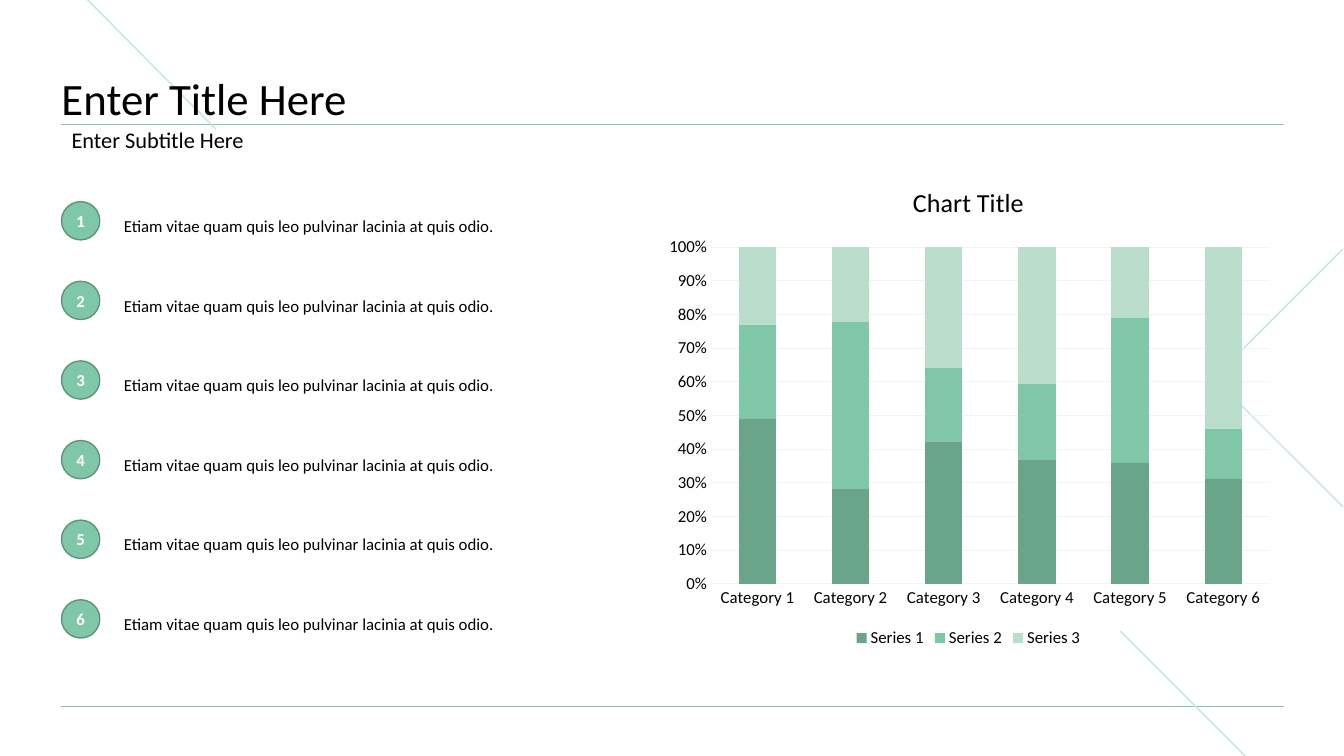
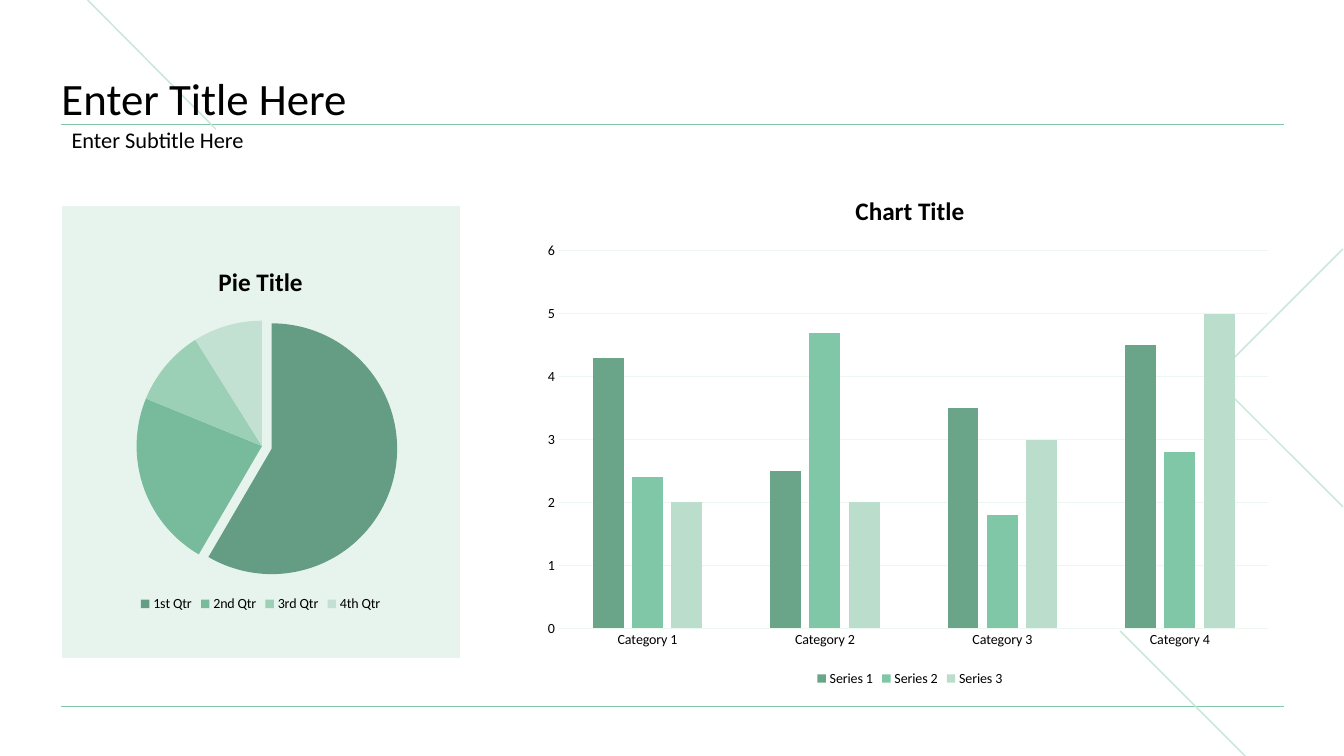
from dataclasses import dataclass

from lxml import etree
from pptx import Presentation
from pptx.chart.data import CategoryChartData
from pptx.dml.color import RGBColor
from pptx.enum.chart import XL_CHART_TYPE, XL_LEGEND_POSITION, XL_TICK_MARK
from pptx.enum.shapes import MSO_CONNECTOR, MSO_SHAPE
from pptx.enum.text import MSO_ANCHOR, PP_ALIGN
from pptx.oxml import parse_xml
from pptx.oxml.ns import nsdecls, qn
from pptx.util import Inches, Pt

STACKED = XL_CHART_TYPE.COLUMN_STACKED_100
CLUSTERED = XL_CHART_TYPE.COLUMN_CLUSTERED
PIE = XL_CHART_TYPE.PIE
BOTTOM_LEGEND = XL_LEGEND_POSITION.BOTTOM
NO_TICK = XL_TICK_MARK.NONE
STRAIGHT = MSO_CONNECTOR.STRAIGHT
OVAL = MSO_SHAPE.OVAL
RECT = MSO_SHAPE.RECTANGLE
LEFT = PP_ALIGN.LEFT
CENTER = PP_ALIGN.CENTER
MIDDLE = MSO_ANCHOR.MIDDLE
BOTTOM = MSO_ANCHOR.BOTTOM


@dataclass(frozen=True)
class Theme:
    font: str = "Calibri"
    text: str = "000000"
    white: str = "FFFFFF"
    green: str = "80C7A7"
    badge_line: str = "5F937C"
    accent: str = "C6E6D7"
    grid: str = "ECF7F2"
    panel: str = "E6F4ED"
    series: tuple[str, ...] = ("6AA58A", "80C7A7", "BADDCC")
    slices: tuple[str, ...] = ("659D84", "78BA9C", "9BD0B7", "C3E1D2")
    title: float = 32
    subtitle: float = 16
    body: float = 12
    small: float = 10
    chart_title: float = 18


@dataclass(frozen=True)
class Box:
    x: float
    y: float
    w: float
    h: float

    def emu(self) -> tuple[int, ...]:
        return tuple(Inches(v) for v in (self.x, self.y, self.w, self.h))


@dataclass(frozen=True)
class Rule:
    x1: float
    y1: float
    x2: float
    y2: float
    color: str
    width: float


@dataclass(frozen=True)
class ChartSpec:
    kind: int
    box: Box
    plot: Box
    title: str
    title_size: float
    title_bold: bool
    size: float
    cats: tuple[str, ...]
    series: tuple[tuple[float, ...], ...]
    gap: int = 0
    overlap: int = 0
    axis_line: bool = False
    top: float | None = None


T = Theme()
MARGIN, WIDTH = 0.61, 12.12
RIGHT = MARGIN + WIDTH
TITLE_BOX = Box(MARGIN, 0.44, WIDTH, 0.8)
SUBTITLE_BOX = Box(MARGIN, 1.23, WIDTH, 0.34)
RULES = (
    Rule(MARGIN, 7.01, RIGHT, 7.01, T.green, 0.5),
    Rule(MARGIN, 1.23, RIGHT, 1.23, T.green, 0.5),
    Rule(11.11, 6.26, 12.35, 7.5, T.accent, 1),
    Rule(0.87, 0, 2.14, 1.28, T.accent, 1),
)
CHEVRON = ((13.32, 2.47), (12.04, 3.75), (13.32, 5.03))
ITEMS = ("Etiam vitae quam quis leo pulvinar lacinia at quis odio.",) * 6
ITEM_PITCH = 0.79

SHARE_CHART = ChartSpec(
    STACKED, Box(6.49, 1.63, 6.23, 4.84), Box(0.09, 0.17, 0.89, 0.69),
    "Chart Title", 18.6, False, T.body,
    tuple(f"Category {n}" for n in range(1, 7)),
    ((49, 28, 42, 37, 36, 31), (28, 49, 22, 23, 43, 15), (23, 22, 36, 41, 21, 54)),
    gap=150, overlap=100,
)
COLUMN_CHART = ChartSpec(
    CLUSTERED, Box(5.32, 1.72, 7.41, 5.13), Box(0.03, 0.15, 0.95, 0.73),
    "Chart Title", T.chart_title, True, T.small,
    tuple(f"Category {n}" for n in range(1, 5)),
    ((4.3, 2.5, 3.5, 4.5), (2.4, 4.7, 1.8, 2.8), (2, 2, 3, 5)),
    gap=219, overlap=-27, axis_line=True, top=6,
)
PIE_CHART = ChartSpec(
    PIE, Box(1.15, 2.45, 2.87, 3.66), Box(0.07, 0.2, 0.87, 0.68),
    "Pie Title", T.chart_title, True, T.small,
    ("1st Qtr", "2nd Qtr", "3rd Qtr", "4th Qtr"), ((59, 23, 10, 9),),
)


def rgb(color: str) -> RGBColor:
    return RGBColor.from_string(color)


def set_font(font, size: float, color: str = T.text, bold: bool = False) -> None:
    font.name = T.font
    font.size = Pt(size)
    font.bold = bold
    font.color.rgb = rgb(color)


def set_line(line, color: str, width: float) -> None:
    line.color.rgb = rgb(color)
    line.width = Pt(width)


def write(tf, text: str, size: float, color: str = T.text, bold: bool = False,
          align=LEFT, anchor=MIDDLE, spacing: float = 1.0):
    tf.text = text
    tf.word_wrap = True
    tf.vertical_anchor = anchor
    p = tf.paragraphs[0]
    p.alignment = align
    p.line_spacing = spacing
    p.space_before = Pt(0)
    for r in p.runs:
        set_font(r.font, size, color, bold)
    return p


def no_insets(tf) -> None:
    tf.margin_left = tf.margin_right = tf.margin_top = tf.margin_bottom = 0


def place(shape, box: Box) -> None:
    shape.left, shape.top, shape.width, shape.height = box.emu()


def add_rule(s, rule: Rule):
    ends = (Inches(v) for v in (rule.x1, rule.y1, rule.x2, rule.y2))
    line = s.shapes.add_connector(STRAIGHT, *ends)
    set_line(line.line, rule.color, rule.width)
    etree.SubElement(line.element.spPr, qn("a:effectLst"))
    return line


def add_chevron(s):
    points = [(Inches(x), Inches(y)) for x, y in CHEVRON]
    builder = s.shapes.build_freeform(*points[0])
    builder.add_line_segments(points[1:], close=False)
    sp = builder.convert_to_shape()
    sp.shadow.inherit = False
    sp.fill.background()
    set_line(sp.line, T.accent, 1)
    return sp


def add_box(s, kind: int, box: Box, fill: str, line: str, width: float):
    sp = s.shapes.add_shape(kind, *box.emu())
    sp.shadow.inherit = False
    sp.fill.solid()
    sp.fill.fore_color.rgb = rgb(fill)
    set_line(sp.line, line, width)
    return sp


def style_layout(layout, s) -> None:
    title, body = layout.placeholders[0], layout.placeholders[1]
    place(title, TITLE_BOX)
    place(body, SUBTITLE_BOX)
    tree = title.element.getparent()
    decor = [add_rule(s, rule) for rule in RULES] + [add_chevron(s)]
    for i, shape in enumerate(decor):
        shape.element.xpath(".//p:cNvPr")[0].set("id", str(100 + i))
        tree.insert(2 + i, shape.element)


def add_headings(s, title: str, subtitle: str) -> None:
    tf = s.shapes.title.text_frame
    write(tf, title, T.title, anchor=BOTTOM, spacing=0.9)
    no_insets(tf)
    p = write(s.placeholders[1].text_frame, subtitle, T.subtitle, spacing=0.9)
    pPr = p._p.get_or_add_pPr()
    pPr.set("marL", "0")
    pPr.set("indent", "0")
    etree.SubElement(pPr, qn("a:buNone"))


def add_items(s, items: tuple[str, ...]) -> None:
    for i, text in enumerate(items):
        dy = i * ITEM_PITCH
        badge = add_box(s, OVAL, Box(MARGIN, 2 + dy, 0.38, 0.38), T.green, T.badge_line, 1)
        no_insets(badge.text_frame)
        write(badge.text_frame, str(i + 1), T.body, T.white, True, CENTER)
        tb = s.shapes.add_textbox(*Box(1.13, 1.91 + dy, 5.05, 0.56).emu())
        write(tb.text_frame, text, T.body, spacing=1.5)


def set_plot_layout(chart, plot: Box) -> None:
    area = chart._chartSpace.chart.plotArea
    for old in area.findall(qn("c:layout")):
        area.remove(old)
    area.insert(0, parse_xml(
        f'<c:layout {nsdecls("c")}><c:manualLayout><c:layoutTarget val="inner"/>'
        f'<c:xMode val="edge"/><c:yMode val="edge"/><c:x val="{plot.x}"/><c:y val="{plot.y}"/>'
        f'<c:w val="{plot.w}"/><c:h val="{plot.h}"/></c:manualLayout></c:layout>'))


def style_axes(chart, spec: ChartSpec) -> None:
    cat, val = chart.category_axis, chart.value_axis
    for axis in (cat, val):
        axis.major_tick_mark = axis.minor_tick_mark = NO_TICK
        set_font(axis.tick_labels.font, spec.size)
        axis.format.line.fill.background()
    if spec.axis_line:
        set_line(cat.format.line, T.grid, 0.75)
    val.has_major_gridlines = True
    set_line(val.major_gridlines.format.line, T.grid, 0.75)
    val.tick_labels.number_format = "0%" if spec.kind == STACKED else "General"
    val.tick_labels.number_format_is_linked = False
    if spec.top is not None:
        val.minimum_scale, val.maximum_scale, val.major_unit = 0, spec.top, 1


def fill_parts(parts, colors: tuple[str, ...]) -> None:
    for part, color in zip(parts, colors):
        part.format.fill.solid()
        part.format.fill.fore_color.rgb = rgb(color)


def add_chart(s, spec: ChartSpec) -> None:
    data = CategoryChartData()
    data.categories = spec.cats
    for n, values in enumerate(spec.series, 1):
        data.add_series(f"Series {n}", values)
    chart = s.shapes.add_chart(spec.kind, *spec.box.emu(), data).chart
    set_font(chart.font, T.small)
    chart.has_title = True
    tf = chart.chart_title.text_frame
    tf.text = spec.title
    set_font(tf.paragraphs[0].runs[0].font, spec.title_size, bold=spec.title_bold)
    chart.chart_title.include_in_layout = False
    chart.has_legend = True
    chart.legend.position = BOTTOM_LEGEND
    chart.legend.include_in_layout = False
    set_font(chart.legend.font, spec.size)
    set_plot_layout(chart, spec.plot)
    plot = chart.plots[0]
    if spec.kind == PIE:
        plot.vary_by_categories = True
        ser = plot.series[0]
        fill_parts([ser.points[i] for i in range(len(spec.cats))], T.slices)
        first = ser.points[0].format.fill._xPr.getparent()
        first.find(qn("c:spPr")).addprevious(
            parse_xml(f'<c:explosion {nsdecls("c")} val="8"/>'))
    else:
        plot.vary_by_categories = False
        plot.gap_width, plot.overlap = spec.gap, spec.overlap
        fill_parts(plot.series, T.series)
        style_axes(chart, spec)


def main() -> None:
    prs = Presentation()
    prs.slide_width, prs.slide_height = Inches(13.33), Inches(7.5)
    layout = prs.slide_layouts[1]
    list_slide, chart_slide = (prs.slides.add_slide(layout) for _ in range(2))
    style_layout(layout, list_slide)
    for s in (list_slide, chart_slide):
        add_headings(s, "Enter Title Here", "Enter Subtitle Here")
    add_items(list_slide, ITEMS)
    add_chart(list_slide, SHARE_CHART)
    add_chart(chart_slide, COLUMN_CHART)
    add_box(chart_slide, RECT, Box(MARGIN, 2.03, 3.96, 4.51), T.panel, T.white, 1.5)
    add_chart(chart_slide, PIE_CHART)
    prs.save("out.pptx")


if __name__ == "__main__":
    main()
